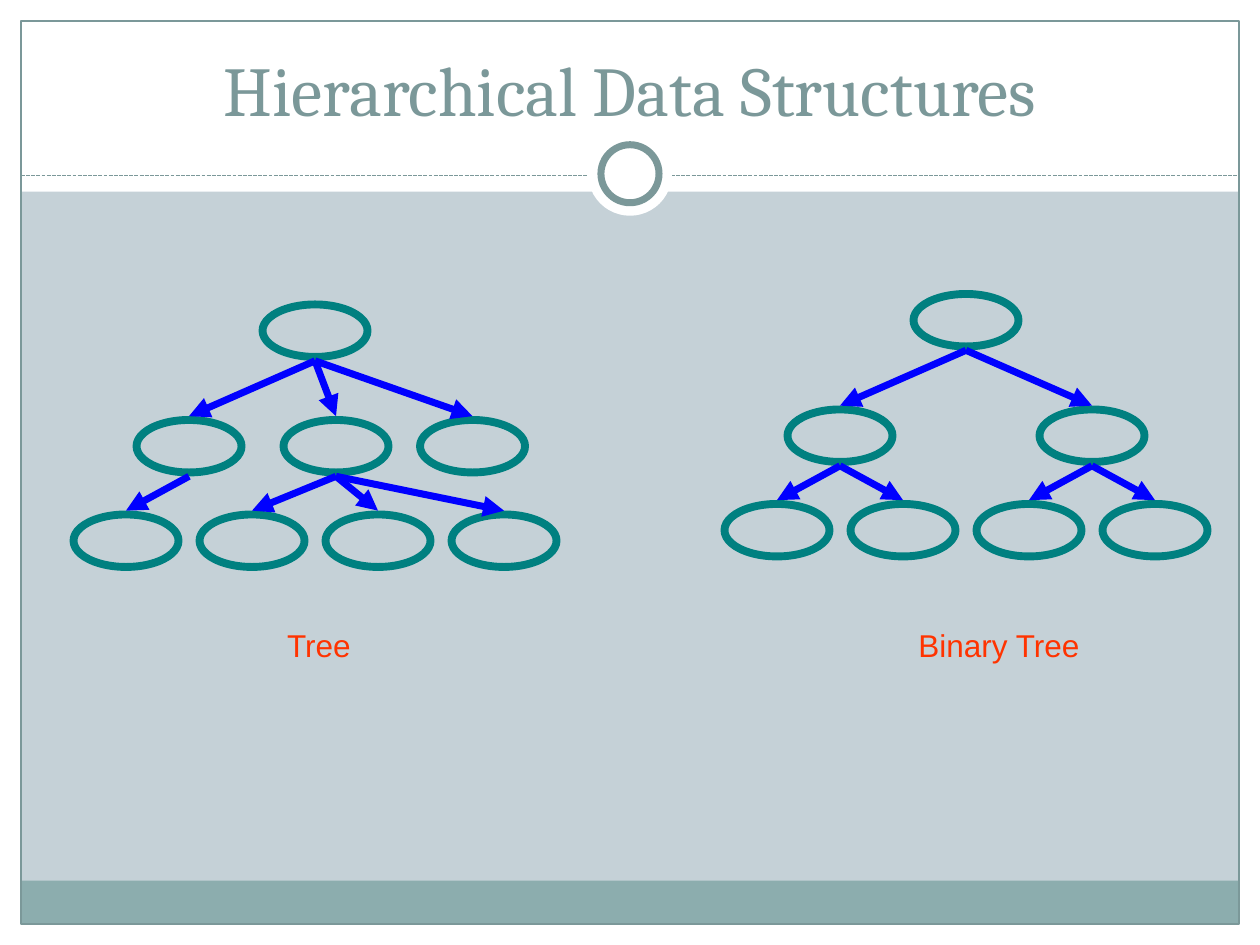
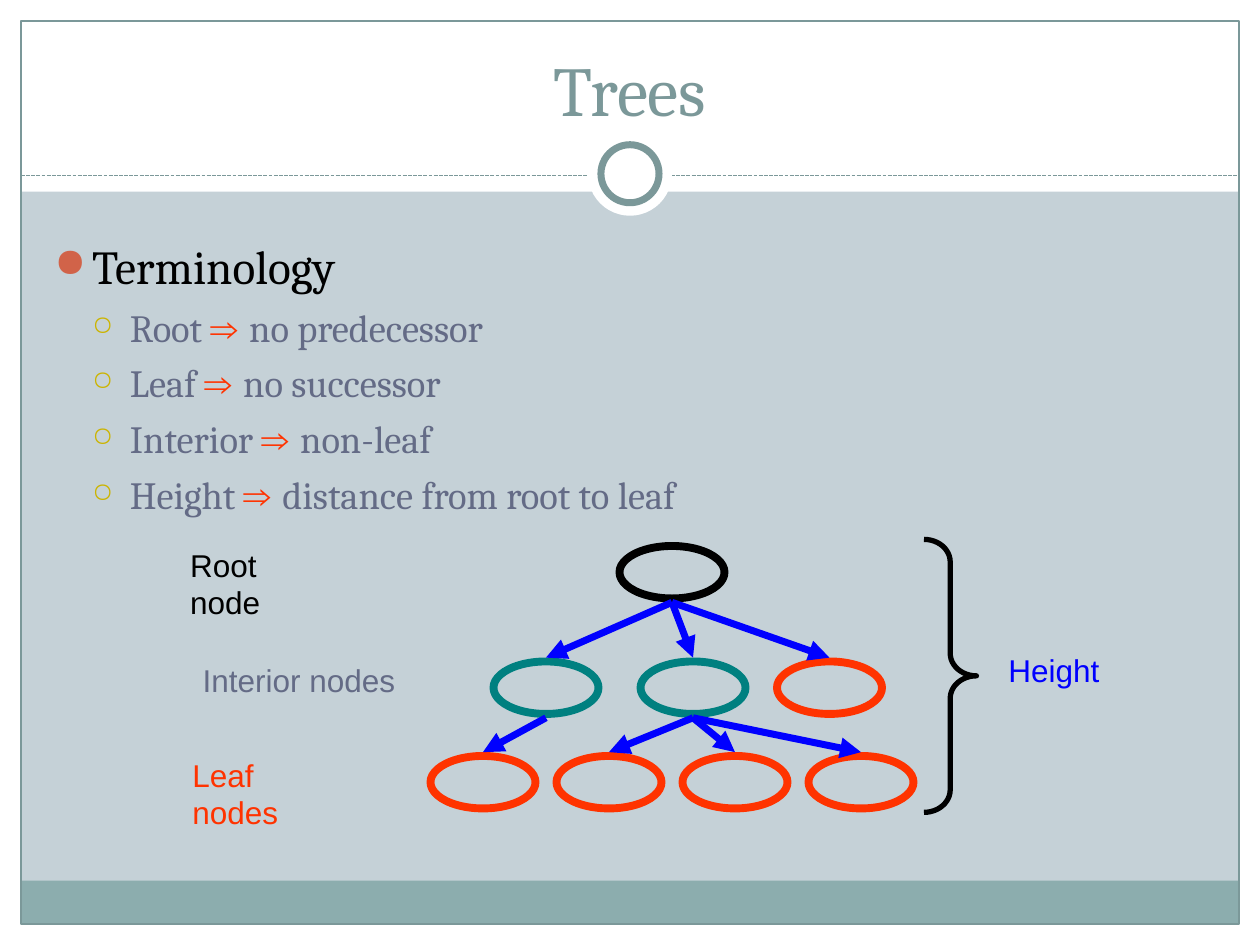
from lxml import etree
from pptx import Presentation
from pptx.dml.color import RGBColor
from pptx.enum.dml import MSO_LINE
from pptx.enum.shapes import MSO_CONNECTOR, MSO_SHAPE
from pptx.enum.text import MSO_ANCHOR, MSO_AUTO_SIZE, PP_ALIGN
from pptx.oxml.ns import qn
from pptx.util import Pt

RECT, OVAL, BRACE = MSO_SHAPE.RECTANGLE, MSO_SHAPE.OVAL, MSO_SHAPE.RIGHT_BRACE
STRAIGHT = MSO_CONNECTOR.STRAIGHT
DASHED = MSO_LINE.SQUARE_DOT
CENTER = PP_ALIGN.CENTER
BOTTOM = MSO_ANCHOR.BOTTOM
GROW = MSO_AUTO_SIZE.SHAPE_TO_FIT_TEXT

COLORS = {
    "background": "C5D1D7", "white": "FFFFFF", "footer": "8CADAE",
    "accent": "7B9899", "black": "000000", "teal": "008080",
    "arrow": "0000FF", "orange": "FF3300", "slate": "646B86",
    "bullet": "D16349", "sub_bullet": "CCB400",
}
HEADING_FONT, LABEL_FONT = "Cambria", "Arial"

SLIDE_W, SLIDE_H, MARGIN = 720, 540, 12
NODE_W, NODE_H = 60, 30
LEVEL_Y = (0, 66, 120)   # node centres below the root
ARROW_GAP = 2.2          # space between an arrow and its node

# Node centres by level, relative to the root; edges join (level, index) pairs
LEAF_X = (-108, -36, 36, 108)
GENERAL_TREE = {
    "levels": ((0,), (-72, 12, 90), LEAF_X),
    "edges": (((0, 0), (0, 1, 2)), ((1, 0), (0,)), ((1, 1), (1, 2, 3))),
}
BINARY_TREE = {
    "levels": ((0,), (-72, 72), LEAF_X),
    "edges": (((0, 0), (0, 1)), ((1, 0), (0, 1)), ((1, 1), (2, 3))),
}
TERMS = (
    ("Root ", "no predecessor"),
    ("Leaf ", "no successor"),
    ("Interior ", "non-leaf"),
    ("Height ", "distance from root to leaf"),
)


def rgb(color):
    return RGBColor.from_string(COLORS[color])


def add_figure(slide, kind, box, fill=None, line=None, width=0.75):
    figure = slide.shapes.add_shape(kind, *(Pt(v) for v in box))
    figure.shadow.inherit = False
    if fill:
        figure.fill.solid()
        figure.fill.fore_color.rgb = rgb(fill)
    else:
        figure.fill.background()
    if line:
        figure.line.color.rgb = rgb(line)
        figure.line.width = Pt(width)
    else:
        figure.line.fill.background()
    return figure


def add_line(slide, start, end, color, width, arrow=False):
    line = slide.shapes.add_connector(STRAIGHT, *(Pt(v) for v in (*start, *end)))
    line.line.color.rgb = rgb(color)
    line.line.width = Pt(width)
    properties = line.element.spPr
    etree.SubElement(properties, qn("a:effectLst"))
    if arrow:
        etree.SubElement(properties.find(qn("a:ln")), qn("a:tailEnd"), type="triangle")
    return line


def add_frame(slide, box, wrap=True):
    frame = slide.shapes.add_textbox(*(Pt(v) for v in box)).text_frame
    frame.word_wrap = wrap
    return frame


def write(paragraph, text, size=18, color="black", font=LABEL_FONT):
    run = paragraph.add_run()
    run.text = text
    run.font.size = Pt(size)
    run.font.name = font
    run.font.color.rgb = rgb(color)


def add_label(slide, text, left, top, width, color):
    frame = add_frame(slide, (left, top, width, 29), wrap=False)
    frame.auto_size = GROW
    write(frame.paragraphs[0], text, color=color)


def set_bullet(paragraph, char, color, percent, indent, before):
    paragraph.space_before = Pt(before)
    properties = paragraph._p.get_or_add_pPr()
    properties.set("marL", str(Pt(indent)))
    properties.set("indent", str(-Pt(21.6)))
    bullet_color = etree.SubElement(properties, qn("a:buClr"))
    etree.SubElement(bullet_color, qn("a:srgbClr"), val=COLORS[color])
    etree.SubElement(properties, qn("a:buSzPct"), val=str(percent * 1000))
    etree.SubElement(properties, qn("a:buChar"), char=char)


def add_terms(slide):
    frame = add_frame(slide, (24, 132, 669.6, 348.5))
    heading = frame.paragraphs[0]
    set_bullet(heading, "●", "bullet", 85, indent=21.6, before=6.8)
    write(heading, "Terminology", size=27, font=HEADING_FONT)
    for term, meaning in TERMS:
        item = frame.add_paragraph()
        item.level = 1
        set_bullet(item, "○", "sub_bullet", 70, indent=43.2, before=5.5)
        write(item, term, size=22, color="slate", font=HEADING_FONT)
        write(item, "⇒ ", size=22, color="orange")
        write(item, meaning, size=22, color="slate", font=HEADING_FONT)


def add_tree(slide, tree, root_x, root_y, root="teal", interior="teal", leaf="teal"):
    parents = {parent for parent, _ in tree["edges"]}
    centers = {
        (level, index): (root_x + x, root_y + LEVEL_Y[level])
        for level, row in enumerate(tree["levels"])
        for index, x in enumerate(row)
    }
    for node, (x, y) in centers.items():
        color = root if node == (0, 0) else interior if node in parents else leaf
        box = (x - NODE_W / 2, y - NODE_H / 2, NODE_W, NODE_H)
        add_figure(slide, OVAL, box, line=color, width=4.5)

    reach = NODE_H / 2 + ARROW_GAP
    for parent, children in tree["edges"]:
        x, y = centers[parent]
        for child in children:
            child_x, child_y = centers[parent[0] + 1, child]
            add_line(slide, (x, y + reach), (child_x, child_y - reach),
                     "arrow", 4, arrow=True)


def add_base_slide(deck, title):
    slide = deck.slides.add_slide(deck.slide_layouts[6])
    slide.background.fill.solid()
    slide.background.fill.fore_color.rgb = rgb("background")

    # White margins and header, footer band
    inner_w, inner_h = SLIDE_W - 2 * MARGIN, SLIDE_H - 2 * MARGIN
    for box in ((0, SLIDE_H - MARGIN, SLIDE_W, MARGIN),
                (0, 0, SLIDE_W, 109.5),
                (0, 0, MARGIN, SLIDE_H),
                (SLIDE_W - MARGIN, 0, MARGIN, SLIDE_H)):
        add_figure(slide, RECT, box, fill="white")
    add_figure(slide, RECT, (MARGIN, 503.2, inner_w, 24.8), fill="footer")

    # Border, dashed rule and ring
    add_figure(slide, RECT, (MARGIN, MARGIN, inner_w, inner_h), line="accent")
    rule = add_line(slide, (MARGIN, 100.5), (SLIDE_W - MARGIN, 100.5), "accent", 0.75)
    rule.line.dash_style = DASHED
    add_figure(slide, OVAL, (336, 75.3, 48, 48), fill="white")
    add_figure(slide, OVAL, (343.4, 82.7, 33.2, 33.2), fill="white",
               line="accent", width=4)

    # Title
    frame = add_frame(slide, (24, 18, 672, 60))
    frame.vertical_anchor = BOTTOM
    frame.paragraphs[0].alignment = CENTER
    write(frame.paragraphs[0], title, size=40, color="accent", font=HEADING_FONT)
    return slide


def build_structures(deck):
    slide = add_base_slide(deck, "Hierarchical Data Structures")
    add_tree(slide, GENERAL_TREE, 180, 189)
    add_tree(slide, BINARY_TREE, 552, 183)
    add_label(slide, "Tree", 157, 354, 51, "orange")
    add_label(slide, "Binary Tree", 517.7, 354, 107.3, "orange")


def build_trees(deck):
    slide = add_base_slide(deck, "Trees")
    add_terms(slide)
    add_tree(slide, GENERAL_TREE, 384, 327, root="black", leaf="orange")

    # Level names
    add_label(slide, "Root node", 101.5, 308.2, 97.2, "black")
    add_label(slide, "Interior nodes", 108.7, 374.2, 124.6, "slate")
    add_label(slide, "Leaf nodes", 102.8, 428.2, 103, "orange")

    # Height brace
    brace = add_figure(slide, BRACE, (528, 308.2, 30, 156), line="black", width=3)
    brace.adjustments[0] = 0.43
    add_label(slide, "Height", 569.2, 368.2, 66.2, "arrow")


def main():
    deck = Presentation()
    deck.slide_width, deck.slide_height = Pt(SLIDE_W), Pt(SLIDE_H)
    build_structures(deck)
    build_trees(deck)
    deck.save("out.pptx")


if __name__ == "__main__":
    main()
